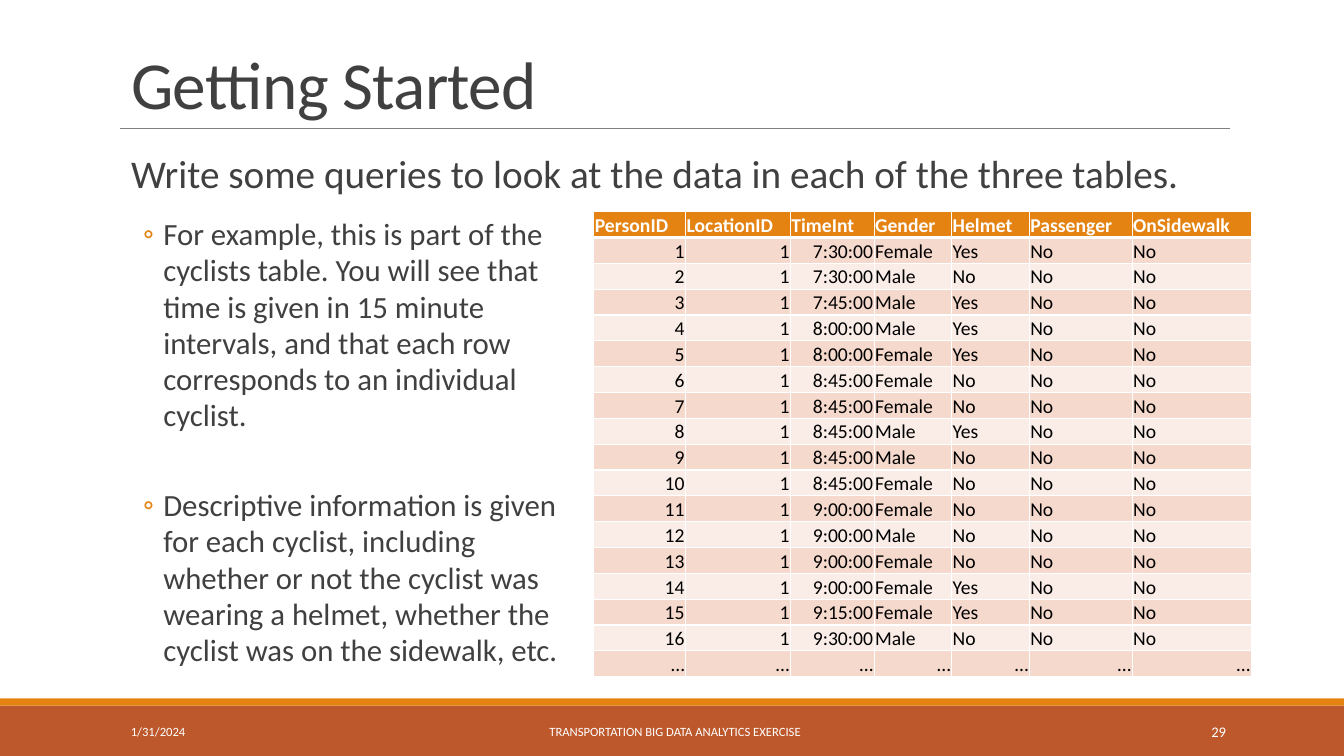
"""Build the Getting Started slide with the cyclists table."""
from lxml import etree
from pptx import Presentation, util as u
from pptx.dml.color import RGBColor
from pptx.enum import shapes, text
from pptx.oxml.ns import qn

TITLE = "Getting Started"
INTRO = "Write some queries to look at the data in each of the three tables."
BULLETS = [
    "For example, this is part of the cyclists table. You will see that time is given in "
    "15 minute intervals, and that each row corresponds to an individual cyclist.",
    "Descriptive information is given for each cyclist, including whether or not the cyclist "
    "was wearing a helmet, whether the cyclist was on the sidewalk, etc.",
]
HEADER = ["PersonID", "LocationID", "TimeInt", "Gender", "Helmet", "Passenger", "OnSidewalk"]
CYCLISTS = [
    ("7:30:00", "Female", "Yes"), ("7:30:00", "Male", "No"),
    ("7:45:00", "Male", "Yes"), ("8:00:00", "Male", "Yes"),
    ("8:00:00", "Female", "Yes"), ("8:45:00", "Female", "No"),
    ("8:45:00", "Female", "No"), ("8:45:00", "Male", "Yes"),
    ("8:45:00", "Male", "No"), ("8:45:00", "Female", "No"),
    ("9:00:00", "Female", "No"), ("9:00:00", "Male", "No"),
    ("9:00:00", "Female", "No"), ("9:00:00", "Female", "Yes"),
    ("9:15:00", "Female", "Yes"), ("9:30:00", "Male", "No"),
]
COL_WIDTHS = [0.91, 1.04, 0.83, 0.77, 0.77, 1.02, 1.18]
TABLE_HEIGHT = 4.62
L, C, R = text.PP_ALIGN.LEFT, text.PP_ALIGN.CENTER, text.PP_ALIGN.RIGHT
FOOTER = [
    ("1/31/2024", 1.2, 2.7, 9, L),
    ("TRANSPORTATION BIG DATA ANALYTICS EXERCISE", 4.06, 5.27, 9, C),
    ("29", 10.83, 1.43, 10.5, R),
]
BANDS = [(7, 0.5, "rust"), (6.93, 0.07, "orange")]
COLORS = {"rust": "BD582C", "orange": "E48312", "rule": "808080", "text": "404040",
          "white": "FFFFFF", "black": "000000", "odd": "F5D9CC", "even": "FAEDE7"}


def rgb(name):
    return RGBColor.from_string(COLORS[name])


def place(sp, left, top, width, height):
    sp.left, sp.top, sp.width, sp.height = map(u.Inches, (left, top, width, height))


def style(p, size, color, bold=False, align=L):
    p.alignment = align
    for r in p.runs:
        f = r.font
        f.name, f.size, f.bold = "Calibri", u.Pt(size), bold
        f.color.rgb = rgb(color)


def setup_frame(tf, anchor, side):
    tf.word_wrap = True
    tf.auto_size = text.MSO_AUTO_SIZE.NONE
    tf.vertical_anchor = anchor
    tf.margin_left = tf.margin_right = u.Inches(side)
    tf.margin_top = tf.margin_bottom = u.Inches(0.05)


def set_bullet(p, left, hanging, char=None):
    pPr = p._p.get_or_add_pPr()
    pPr.set("marL", str(u.Inches(left)))
    pPr.set("indent", str(-u.Inches(hanging)))
    if char is None:
        etree.SubElement(pPr, qn("a:buNone"))
        return
    clr = etree.SubElement(pPr, qn("a:buClr"))
    etree.SubElement(clr, qn("a:srgbClr"), val=COLORS["orange"])
    etree.SubElement(pPr, qn("a:buFont"), typeface="Calibri")
    etree.SubElement(pPr, qn("a:buChar"), char=char)


def set_borders(cell, widths):
    tcPr = cell._tc.get_or_add_tcPr()
    for i, (side, width) in enumerate(widths.items()):
        ln = etree.Element(qn(f"a:ln{side}"), w=str(u.Pt(width)))
        fill = etree.SubElement(ln, qn("a:solidFill"))
        etree.SubElement(fill, qn("a:srgbClr"), val=COLORS["white"])
        tcPr.insert(i, ln)


def add_master_parts(s):
    for top, height, color in BANDS:
        sp = s.shapes.add_shape(shapes.MSO_SHAPE.RECTANGLE, 0, u.Inches(top),
                                u.Inches(13.33), u.Inches(height))
        sp.shadow.inherit = False
        sp.fill.solid()
        sp.fill.fore_color.rgb = rgb(color)
        sp.line.fill.background()
    rule = s.shapes.add_connector(shapes.MSO_CONNECTOR.STRAIGHT, u.Inches(1.19),
                                  u.Inches(1.27), u.Inches(12.2), u.Inches(1.27))
    rule.line.color.rgb = rgb("rule")
    rule.line.width = u.Pt(0.5)
    etree.SubElement(rule._element.spPr, qn("a:effectLst"))
    for words, left, width, size, align in FOOTER:
        sp = s.shapes.add_textbox(0, 0, 0, 0)
        place(sp, left, 7.06, width, 0.4)
        setup_frame(sp.text_frame, text.MSO_ANCHOR.MIDDLE, 0.1)
        sp.text_frame.text = words
        style(sp.text_frame.paragraphs[0], size, "white", align=align)


def fill_placeholders(s):
    title, intro, notes = s.placeholders
    place(title, 1.2, 0.31, 11, 0.96)
    setup_frame(title.text_frame, text.MSO_ANCHOR.BOTTOM, 0.1)
    title.text_frame.text = TITLE
    p = title.text_frame.paragraphs[0]
    p.line_spacing = 0.85
    style(p, 48, "text")
    p.runs[0].font._element.set("spc", "-50")

    place(intro, 1.2, 1.34, 11, 0.77)
    setup_frame(intro.text_frame, text.MSO_ANCHOR.TOP, 0)
    intro.text_frame.text = INTRO
    p = intro.text_frame.paragraphs[0]
    set_bullet(p, 0.1, 0)
    p.line_spacing, p.space_before = 1.2, u.Pt(0)
    style(p, 28, "text")

    place(notes, 1.2, 2.1, 4.47, TABLE_HEIGHT)
    setup_frame(notes.text_frame, text.MSO_ANCHOR.TOP, 0)
    notes.text_frame.text = "\n".join(BULLETS)
    for i, p in enumerate(notes.text_frame.paragraphs):
        set_bullet(p, 0.42, 0.2, "◦")
        p.line_spacing = 0.98
        p.space_before, p.space_after = u.Pt(34.5 if i else 0), u.Pt(4)
        style(p, 22, "text")


def add_cyclists_table(s):
    rows = [HEADER]
    rows += [(str(n), "1", *who, "No", "No") for n, who in enumerate(CYCLISTS, 1)]
    rows.append(["…"] * len(HEADER))
    last = len(rows) - 1
    tbl = s.shapes.add_table(len(rows), len(HEADER), u.Inches(5.89), u.Inches(2.1),
                             u.Inches(sum(COL_WIDTHS)), u.Inches(TABLE_HEIGHT)).table
    for col, width in zip(tbl.columns, COL_WIDTHS):
        col.width = u.Inches(width)
    for i, row in enumerate(rows):
        tbl.rows[i].height = u.Inches(TABLE_HEIGHT / len(rows))
        head = i == 0
        for j, words in enumerate(row):
            cell = tbl.cell(i, j)
            cell.text = words
            cell.vertical_anchor = text.MSO_ANCHOR.BOTTOM
            cell.margin_left = cell.margin_right = cell.margin_top = u.Inches(0.01)
            cell.margin_bottom = 0
            cell.fill.solid()
            cell.fill.fore_color.rgb = rgb("orange" if head else "odd" if i % 2 else "even")
            right = not head and (j < 3 or i == last)
            style(cell.text_frame.paragraphs[0], 14, "white" if head else "black",
                  head, R if right else L)
            set_borders(cell, {"L": 1, "R": 1, "T": 3 if i == 1 else 1, "B": 3 if head else 1})


def main():
    prs = Presentation()
    prs.slide_width, prs.slide_height = u.Inches(13.33), u.Inches(7.5)
    s = prs.slides.add_slide(prs.slide_layouts.get_by_name("Two Content"))
    add_master_parts(s)
    fill_placeholders(s)
    add_cyclists_table(s)
    prs.save("out.pptx")


if __name__ == "__main__":
    main()
